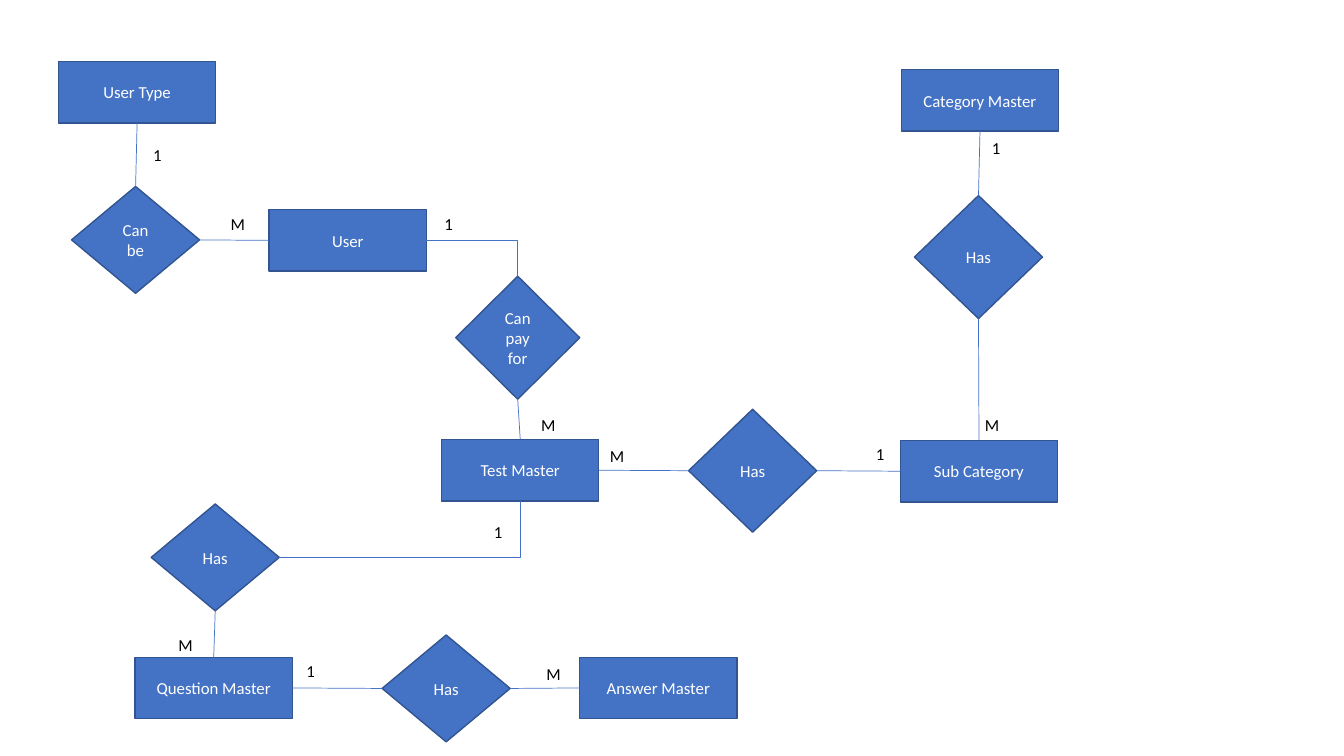
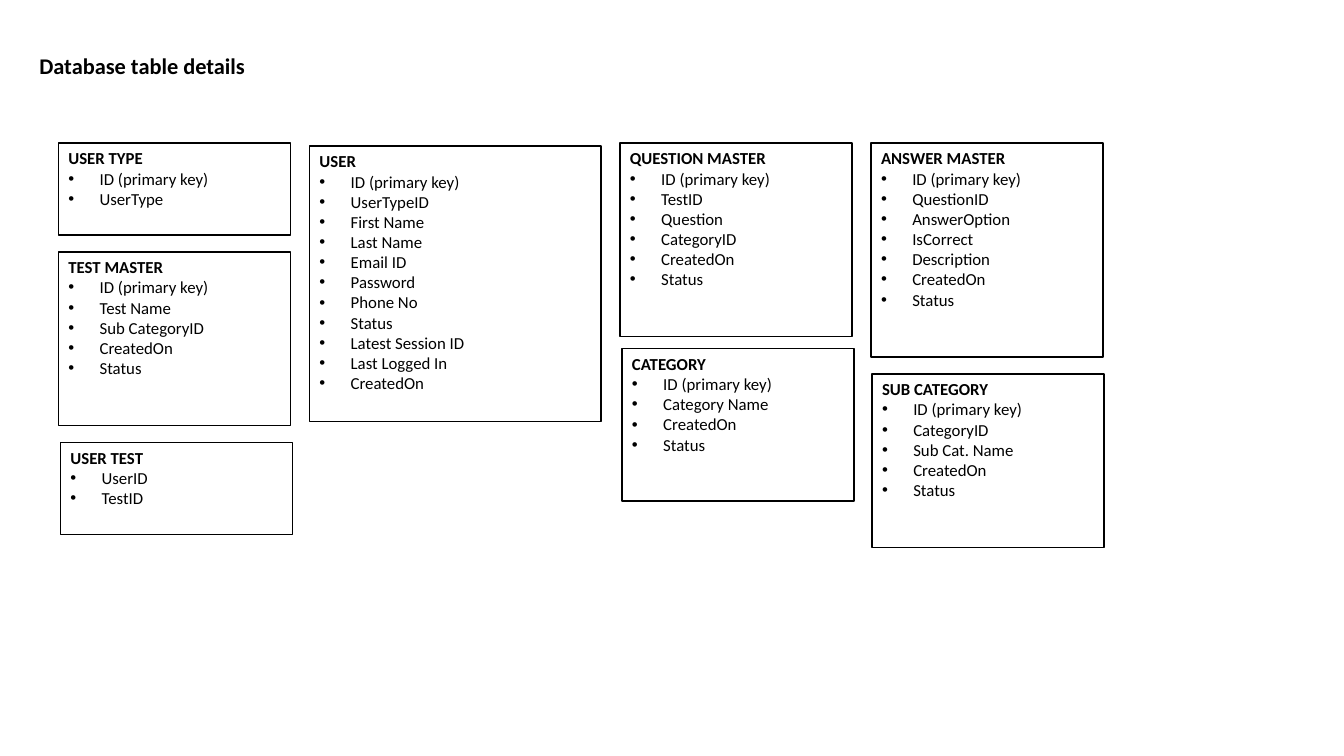
from dataclasses import dataclass

from lxml.etree import SubElement
from pptx import Presentation
from pptx.dml.color import RGBColor
from pptx.enum.shapes import MSO_CONNECTOR as Wire, MSO_SHAPE as Preset
from pptx.enum.text import MSO_ANCHOR as Anchor, PP_ALIGN as Align
from pptx.oxml.ns import qn
from pptx.util import Inches, Pt


@dataclass(frozen=True)
class Theme:
    font: str = "Calibri"
    body_size: int = 12
    title_size: int = 16
    box_line: float = 1
    link_line: float = 0.5
    bullet_indent: float = 0.31
    blue: RGBColor = RGBColor(0x44, 0x72, 0xC4)
    edge: RGBColor = RGBColor(0x32, 0x54, 0x91)
    black: RGBColor = RGBColor(0, 0, 0)
    white: RGBColor = RGBColor(0xFF, 0xFF, 0xFF)


@dataclass(frozen=True)
class Entity:
    text: str
    left: float
    top: float
    width: float = 1.56
    height: float = 0.61
    preset: int = Preset.RECTANGLE


@dataclass(frozen=True)
class Relation(Entity):
    width: float = 1.27
    height: float = 1.06
    preset: int = Preset.DIAMOND


@dataclass(frozen=True)
class Cardinality:
    text: str
    left: float
    top: float


@dataclass(frozen=True)
class Link:
    start: str
    start_site: int
    end: str
    end_site: int
    bent: bool = False


@dataclass(frozen=True)
class TableCard:
    name: str
    fields: tuple
    left: float
    top: float
    height: float
    width: float = 2.3


THEME = Theme()
TOP, LEFT, BOTTOM, RIGHT = range(4)
TALL = 1.22
LABEL_WIDTH = {"1": 0.33, "M": 0.36}
LABEL_HEIGHT = 0.24

NODES = {
    "user type": Entity("User Type", 0.58, 0.61),
    "user": Entity("User", 2.67, 2.08),
    "test": Entity("Test Master", 4.38, 4.36),
    "question": Entity("Question Master", 1.34, 6.52),
    "answer": Entity("Answer Master", 5.75, 6.52),
    "category": Entity("Category Master", 8.94, 0.69),
    "sub category": Entity("Sub Category", 8.93, 4.37),
    "type of user": Relation("Can be", 0.71, 1.85),
    "payment": Relation("Can pay for", 4.52, 2.74, 1.23, TALL),
    "test questions": Relation("Has", 1.5, 5),
    "question answers": Relation("Has", 3.79, 6.3),
    "category parts": Relation("Has", 9.07, 1.94, height=TALL),
    "sub category tests": Relation("Has", 6.83, 4.06, height=TALL),
}

CARDINALITIES = [
    Cardinality("1", 1.42, 1.39),
    Cardinality("M", 2.19, 2.07),
    Cardinality("1", 4.31, 2.07),
    Cardinality("M", 5.27, 4.07),
    Cardinality("M", 5.95, 4.37),
    Cardinality("1", 8.59, 4.35),
    Cardinality("1", 9.74, 1.32),
    Cardinality("M", 9.67, 4.07),
    Cardinality("1", 4.8, 5.13),
    Cardinality("M", 1.67, 6.25),
    Cardinality("1", 2.94, 6.51),
    Cardinality("M", 5.32, 6.54),
]

LINKS = [
    Link("type of user", TOP, "user type", BOTTOM),
    Link("user", LEFT, "type of user", RIGHT),
    Link("user", RIGHT, "payment", TOP, bent=True),
    Link("payment", BOTTOM, "test", TOP),
    Link("test", RIGHT, "sub category tests", LEFT),
    Link("sub category tests", RIGHT, "sub category", LEFT),
    Link("category", BOTTOM, "category parts", TOP),
    Link("category parts", BOTTOM, "sub category", TOP),
    Link("test questions", RIGHT, "test", BOTTOM, bent=True),
    Link("test questions", BOTTOM, "question", TOP),
    Link("question answers", LEFT, "question", RIGHT),
    Link("answer", LEFT, "question answers", RIGHT),
]

KEY = "ID (primary key)"
TABLES = [
    TableCard("USER TYPE", (KEY, "UserType"), 0.58, 1.42, 0.91),
    TableCard("TEST MASTER", (KEY, "Test Name", "Sub CategoryID", "CreatedOn", "Status"),
              0.58, 2.5, 1.72),
    TableCard("USER TEST", ("UserID", "TestID"), 0.6, 4.39, 0.91),
    TableCard("USER", (KEY, "UserTypeID", "First Name", "Last Name", "Email ID", "Password",
                       "Phone No", "Status", "Latest Session ID", "Last Logged In", "CreatedOn"),
              3.07, 1.45, 2.73, 2.89),
    TableCard("QUESTION MASTER", (KEY, "TestID", "Question", "CategoryID", "CreatedOn", "Status"),
              6.15, 1.42, 1.92),
    TableCard("CATEGORY", (KEY, "Category Name", "CreatedOn", "Status"), 6.17, 3.46, 1.51),
    TableCard("ANSWER MASTER", (KEY, "QuestionID", "AnswerOption", "IsCorrect", "Description",
                                "CreatedOn", "Status"), 8.64, 1.42, 2.12),
    TableCard("SUB CATEGORY", (KEY, "CategoryID", "Sub Cat. Name", "CreatedOn", "Status"),
              8.65, 3.71, 1.72),
]


def style_para(para, color: RGBColor, align=Align.LEFT, bold: bool = False,
               size: int = THEME.body_size) -> None:
    para.alignment = align
    for span in para.runs:
        span.font.name = THEME.font
        span.font.size = Pt(size)
        span.font.bold = bold
        span.font.color.rgb = color


def add_box(slide, preset, left: float, top: float, width: float, height: float,
            fill: RGBColor, line: RGBColor | None, anchor):
    box = slide.shapes.add_shape(preset, Inches(left), Inches(top), Inches(width), Inches(height))
    box.shadow.inherit = False
    box.fill.solid()
    box.fill.fore_color.rgb = fill
    if line is None:
        box.line.fill.background()
    else:
        box.line.color.rgb = line
        box.line.width = Pt(THEME.box_line)
    box.text_frame.word_wrap = True
    box.text_frame.vertical_anchor = anchor
    return box


def add_node(slide, node: Entity):
    box = add_box(slide, node.preset, node.left, node.top, node.width, node.height,
                  THEME.blue, THEME.edge, Anchor.MIDDLE)
    box.text_frame.text = node.text
    style_para(box.text_frame.paragraphs[0], THEME.white, Align.CENTER)
    return box


def add_cardinality(slide, label: Cardinality) -> None:
    box = add_box(slide, Preset.RECTANGLE, label.left, label.top, LABEL_WIDTH[label.text],
                  LABEL_HEIGHT, THEME.white, None, Anchor.TOP)
    box.text_frame.text = label.text
    style_para(box.text_frame.paragraphs[0], THEME.black)


def add_link(slide, boxes: dict, link: Link) -> None:
    kind = Wire.ELBOW if link.bent else Wire.STRAIGHT
    wire = slide.shapes.add_connector(kind, 0, 0, 0, 0)
    wire.begin_connect(boxes[link.start], link.start_site)
    wire.end_connect(boxes[link.end], link.end_site)
    wire.line.color.rgb = THEME.blue
    wire.line.width = Pt(THEME.link_line)
    properties = wire._element.spPr
    if link.bent:
        properties.find(qn("a:prstGeom")).set("prst", "bentConnector2")
    SubElement(properties, qn("a:effectLst"))


def add_bullet(para) -> None:
    properties = para._p.get_or_add_pPr()
    indent = Inches(THEME.bullet_indent)
    properties.set("marL", str(indent))
    properties.set("indent", str(-indent))
    SubElement(properties, qn("a:buFont")).set("typeface", "Arial")
    SubElement(properties, qn("a:buChar")).set("char", "•")


def add_table_card(slide, card: TableCard) -> None:
    box = add_box(slide, Preset.RECTANGLE, card.left, card.top, card.width, card.height,
                  THEME.white, THEME.black, Anchor.TOP)
    box.text_frame.text = "\n".join((card.name, *card.fields))
    heading, *rows = box.text_frame.paragraphs
    style_para(heading, THEME.black, bold=True)
    for row in rows:
        style_para(row, THEME.black)
        add_bullet(row)


def set_title(slide, text: str) -> None:
    title = slide.shapes.title
    title.left, title.top = Inches(0.29), Inches(0.27)
    title.width, title.height = Inches(5.56), Inches(0.8)
    title.text_frame.text = text
    title.text_frame.vertical_anchor = Anchor.MIDDLE
    para = title.text_frame.paragraphs[0]
    para.line_spacing = 0.9
    style_para(para, THEME.black, bold=True, size=THEME.title_size)


def build_diagram_page(deck) -> None:
    page = deck.slides.add_slide(deck.slide_layouts.get_by_name("Blank"))
    boxes = {key: add_node(page, node) for key, node in NODES.items()}
    for label in CARDINALITIES:
        add_cardinality(page, label)
    for link in LINKS:
        add_link(page, boxes, link)


def build_tables_page(deck) -> None:
    page = deck.slides.add_slide(deck.slide_layouts.get_by_name("Title Only"))
    set_title(page, "Database table details")
    for card in TABLES:
        add_table_card(page, card)


deck = Presentation()
deck.slide_width, deck.slide_height = Inches(13.33), Inches(7.5)
build_diagram_page(deck)
build_tables_page(deck)
deck.save("out.pptx")
